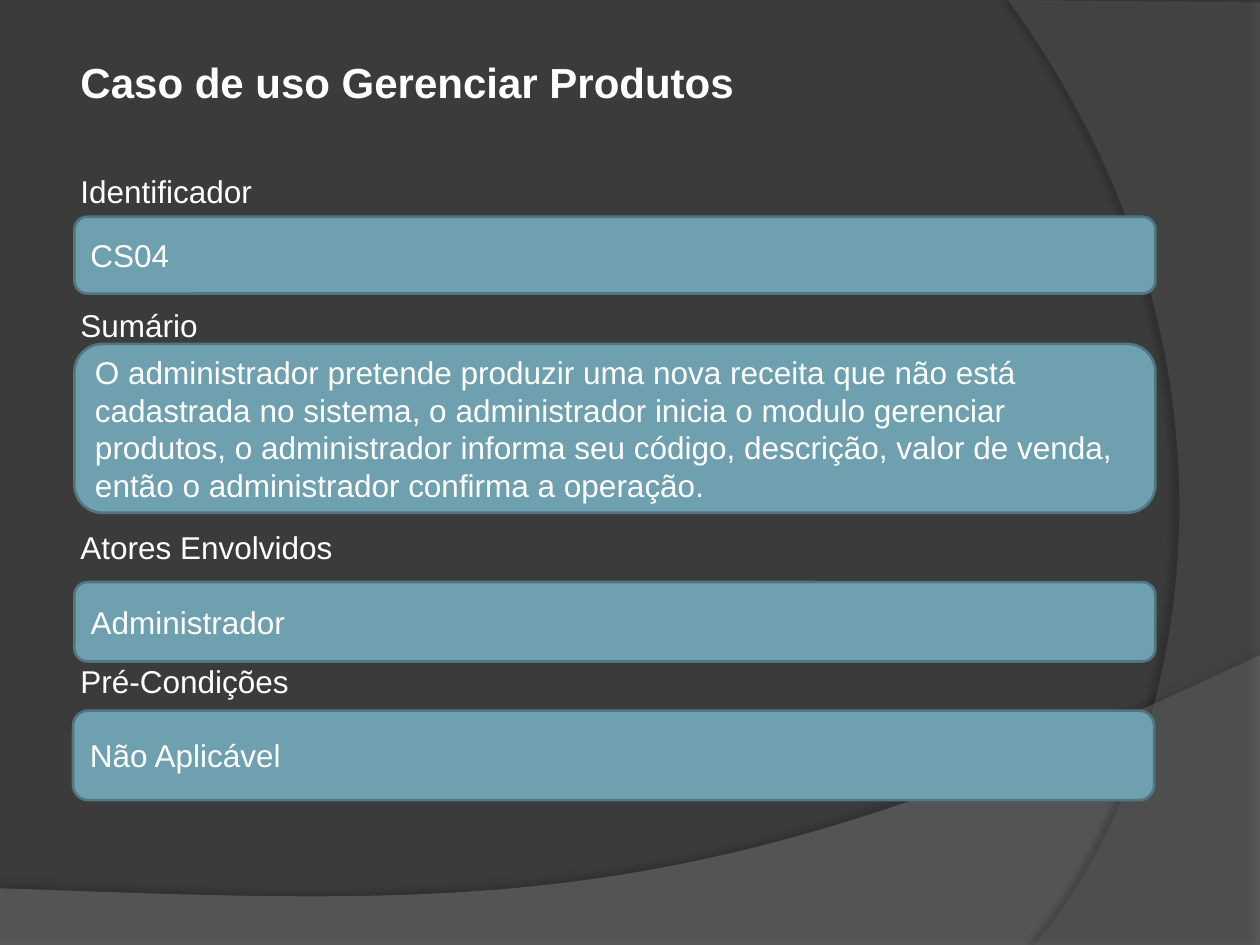
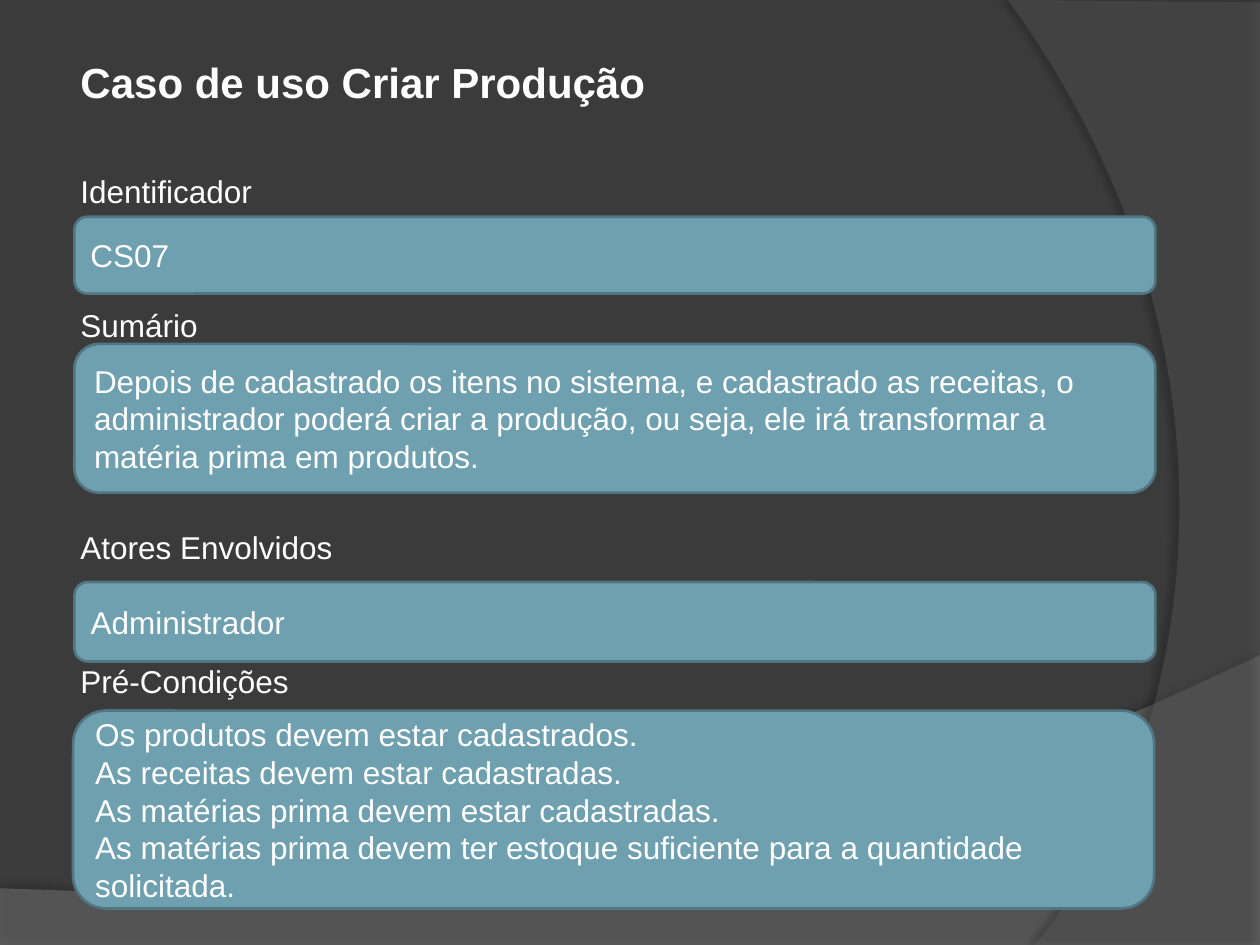
from dataclasses import dataclass

from lxml import etree
from pptx import Presentation
from pptx.dml.color import RGBColor
from pptx.enum import shapes, text
from pptx.oxml import ns
from pptx.util import Inches, Pt


@dataclass(frozen=True)
class Theme:
    font: str = "Arial"
    title_size: float = 24
    body_size: float = 18
    row_pitch: float = 25.2      # points from one body row to the next
    line_height: float = 20.7    # points taken by a body line
    background: str = "3B3B3B"
    ink: str = "FFFFFF"
    panel: str = "6EA0B0"
    panel_edge: str = "517682"
    lower_wave: str = "7F7F7F"
    side_wave: str = "5E5E5E"
    shadow: str = "000000"


THEME = Theme()
WIDTH, HEIGHT = 10, 7.5
CONTENT_BOX = (0.54, 0.4, 8.95, 6.65)

# Field label, and how many rows it stands below the label before it
FIELDS = [("Identificador", None), ("Sumário", 3), ("Atores Envolvidos", 5), ("Pré-Condições", 3)]
TITLE_GAP = 37.3

# Left and top of each field's panel, relative to the content box
PANEL_CORNERS = [(0.05, 1.32), (0.05, 2.33), (0.05, 4.22), (0.04, 5.24)]
PANEL_WIDTH = 8.58

USE_CASES = [
    ("Caso de uso Gerenciar Produtos", [
        (0.61, ["CS04"]),
        (1.34, ["O administrador pretende produzir uma nova receita que não está cadastrada "
                "no sistema, o administrador inicia o modulo gerenciar produtos, o administrador "
                "informa seu código, descrição, valor de venda, então o administrador confirma "
                "a operação."]),
        (0.63, ["Administrador"]),
        (0.71, ["Não Aplicável"]),
    ]),
    ("Caso de uso Criar Produção", [
        (0.61, ["CS07"]),
        (1.18, ["Depois de cadastrado os itens no sistema, e cadastrado as receitas, o "
                "administrador poderá criar a produção, ou seja, ele irá transformar a "
                "matéria prima em produtos."]),
        (0.63, ["Administrador"]),
        (1.57, ["Os produtos devem estar cadastrados.",
                "As receitas devem estar cadastradas.",
                "As matérias prima devem estar cadastradas.",
                "As matérias prima devem ter estoque suficiente para a quantidade solicitada."]),
    ]),
]


def rgb(color):
    return RGBColor.from_string(color)


def add_alpha(color_element, percent):
    etree.SubElement(color_element, ns.qn("a:alpha"), val=str(percent * 1000))


def bezier(start, control_1, control_2, end, steps=60):
    """Points along a cubic curve, without its start."""
    for step in range(1, steps + 1):
        t = step / steps
        weights = ((1 - t) ** 3, 3 * t * (1 - t) ** 2, 3 * t ** 2 * (1 - t), t ** 3)
        yield tuple(sum(w * p for w, p in zip(weights, axis))
                    for axis in zip(start, control_1, control_2, end))


def add_wave(slide, points, color, opacity, shadow_opacity, distance, angle):
    """Translucent outline whose shadow falls across the background."""
    corners = [(Inches(x), Inches(y)) for x, y in points]
    builder = slide.shapes.build_freeform(*corners[0])
    builder.add_line_segments(corners[1:], close=True)
    wave = builder.convert_to_shape()
    wave.fill.solid()
    wave.fill.fore_color.rgb = rgb(color)
    wave.line.fill.background()
    wave.shadow.inherit = False
    properties = wave._element.spPr
    add_alpha(properties.find(ns.qn("a:solidFill")).find(ns.qn("a:srgbClr")), opacity)
    shadow = etree.SubElement(
        properties.find(ns.qn("a:effectLst")), ns.qn("a:outerShdw"), blurRad=str(Pt(4)),
        dist=str(Pt(distance)), dir=str(angle * 60000), algn="ctr", rotWithShape="0")
    add_alpha(etree.SubElement(shadow, ns.qn("a:srgbClr"), val=THEME.shadow), shadow_opacity)


def add_backdrop(slide):
    lower_curve = bezier((WIDTH, 5.2), (5.59, 7.29), (3.91, 7.19), (0, 7.05))
    side_curve = bezier((8.21, HEIGHT), (9.35, 6.19), (10.18, 3), (8, 0))
    add_wave(slide, [(0, HEIGHT), (WIDTH, HEIGHT), (WIDTH, 5.2), *lower_curve],
             THEME.lower_wave, 45, 35, 3.5, 270)
    add_wave(slide, [(WIDTH, 0.02), (WIDTH, HEIGHT), (8.21, HEIGHT), *side_curve],
             THEME.side_wave, 40, 45, 4, 180)


def write_lines(frame, lines, size=THEME.body_size):
    """Fill a text frame with one left-aligned paragraph per line."""
    frame.word_wrap = True
    for index, line in enumerate(lines):
        paragraph = frame.paragraphs[0] if index == 0 else frame.add_paragraph()
        paragraph.text = line
        paragraph.alignment = text.PP_ALIGN.LEFT
        paragraph.font.name = THEME.font
        paragraph.font.size = Pt(size)
        paragraph.font.color.rgb = rgb(THEME.ink)
    return frame.paragraphs


def add_outline(slide, box, title):
    """Title and field labels, spaced so each label sits over its panel."""
    frame = slide.shapes.add_textbox(*map(Inches, box)).text_frame
    heading, *labels = write_lines(frame, [title] + [label for label, _ in FIELDS])
    heading.font.size = Pt(THEME.title_size)
    heading.font.bold = True
    for paragraph, (_, rows) in zip(labels, FIELDS):
        gap = rows * THEME.row_pitch - THEME.line_height if rows else TITLE_GAP
        paragraph.space_before = Pt(gap)


def add_panel(slide, left, top, height, lines):
    panel = slide.shapes.add_shape(
        shapes.MSO_SHAPE.ROUNDED_RECTANGLE,
        *map(Inches, (left, top, PANEL_WIDTH, height)))
    panel.shadow.inherit = False
    panel.fill.solid()
    panel.fill.fore_color.rgb = rgb(THEME.panel)
    panel.line.color.rgb = rgb(THEME.panel_edge)
    panel.line.width = Pt(1.5)
    panel.text_frame.vertical_anchor = text.MSO_ANCHOR.MIDDLE
    write_lines(panel.text_frame, lines)


def add_use_case(prs, box, title, panels):
    slide = prs.slides.add_slide(prs.slide_layouts[6])
    add_backdrop(slide)
    add_outline(slide, box, title)
    for (dx, dy), (height, lines) in zip(PANEL_CORNERS, panels):
        add_panel(slide, box[0] + dx, box[1] + dy, height, lines)


def main():
    prs = Presentation()
    prs.slide_width, prs.slide_height = Inches(WIDTH), Inches(HEIGHT)
    backdrop = prs.slide_master.background.fill
    backdrop.solid()
    backdrop.fore_color.rgb = rgb(THEME.background)
    for title, panels in USE_CASES:
        add_use_case(prs, CONTENT_BOX, title, panels)
    prs.save("out.pptx")


if __name__ == "__main__":
    main()
